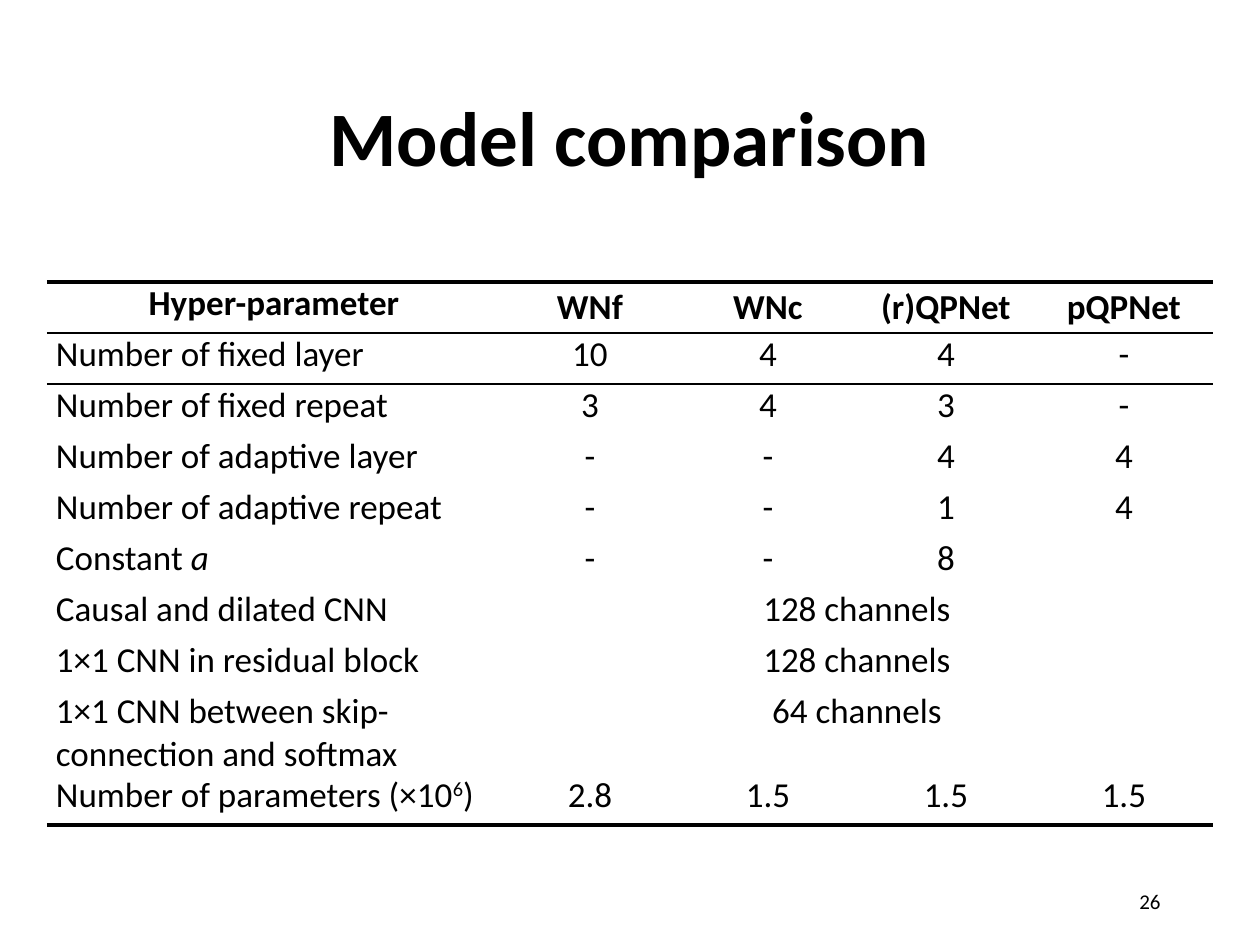
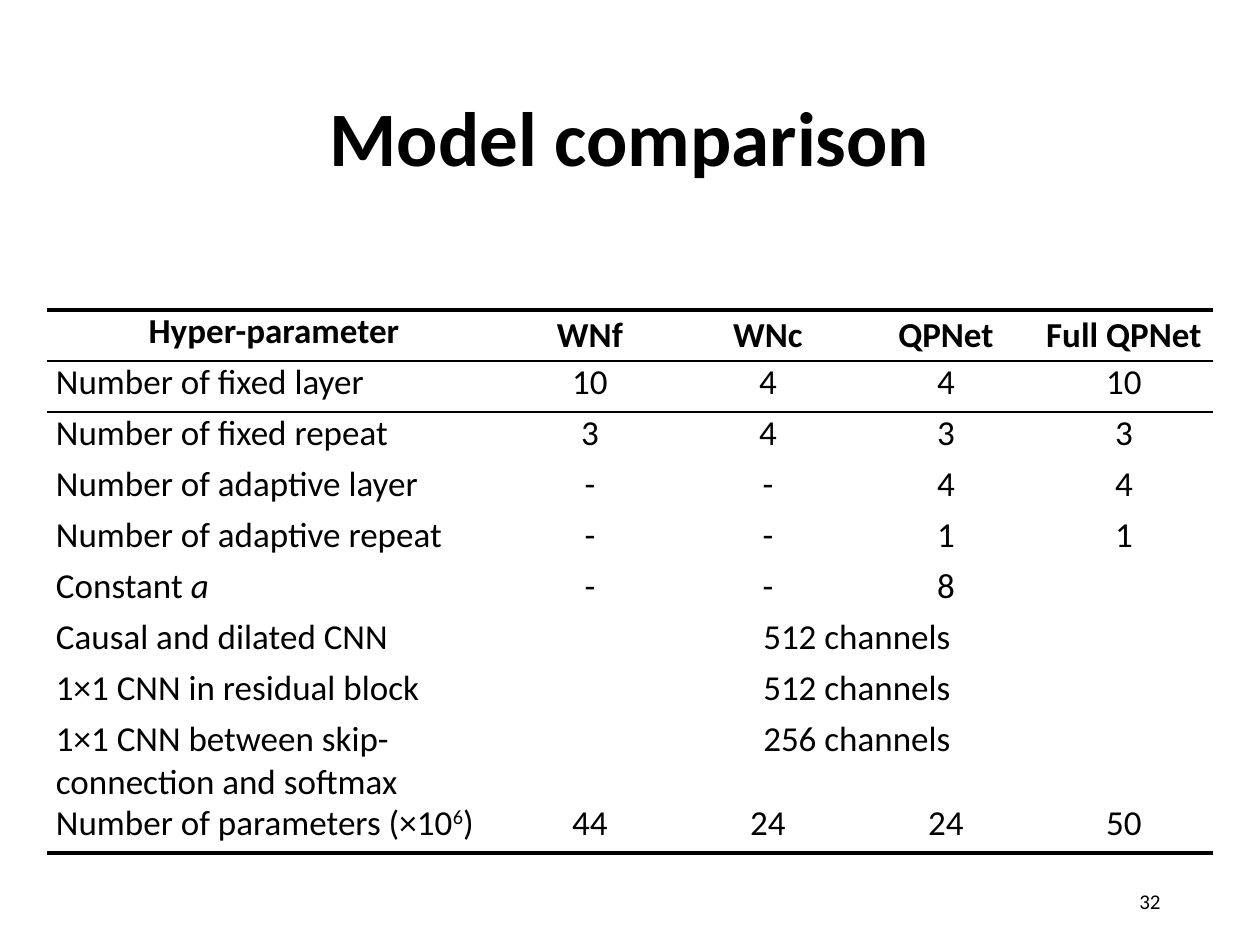
from lxml import etree
from pptx import Presentation
from pptx.dml.color import RGBColor
from pptx.enum.text import MSO_ANCHOR, PP_ALIGN
from pptx.oxml.ns import qn
from pptx.util import Emu, Pt

LEFT, CENTER, RIGHT = PP_ALIGN.LEFT, PP_ALIGN.CENTER, PP_ALIGN.RIGHT
TOP, MIDDLE = MSO_ANCHOR.TOP, MSO_ANCHOR.MIDDLE

BLACK = RGBColor(0x00, 0x00, 0x00)
FONT = "Calibri"
PX_PER_INCH = 126
NO_GRID_STYLE = "{2D5ABB26-0587-4C30-8999-92F81FD0307C}"

# Boxes are left, top, width, height in px
PAGE_SIZE = (1260, 945)
TITLE_BOX = (87, 50, 1086, 183)
NUMBER_BOX = (890, 876, 283, 50)
TABLE_LEFT = 47
LABEL_WIDTH, VALUE_WIDTH, ROW_HEIGHT = 454, 178, 51
CELL_MARGIN = 9
THICK, THIN = 3, 1

# Row labels, each a list of (text, style) spans
ROW_LABELS = [
    [("Hyper-parameter", "bold")],
    [("Number of fixed layer", "")],
    [("Number of fixed repeat", "")],
    [("Number of adaptive layer", "")],
    [("Number of adaptive repeat", "")],
    [("Constant ", ""), ("a", "italic")],
    [("Causal and dilated CNN", "")],
    [("1×1 CNN in residual block", "")],
    [("1×1 CNN between skip-connection and softmax", "")],
    [("Number of parameters (×10", ""), ("6", "superscript"), (")", "")],
]

# A row with one value spans all model columns
COMPARISONS = [
    (26, 282, [
        ["WNf", "WNc", "(r)QPNet", "pQPNet"],
        ["10", "4", "4", "-"],
        ["3", "4", "3", "-"],
        ["-", "-", "4", "4"],
        ["-", "-", "1", "4"],
        ["-", "-", "8", ""],
        ["128 channels"],
        ["128 channels"],
        ["64 channels"],
        ["2.8", "1.5", "1.5", "1.5"],
    ]),
    (32, 310, [
        ["WNf", "WNc", "QPNet", "Full QPNet"],
        ["10", "4", "4", "10"],
        ["3", "4", "3", "3"],
        ["-", "-", "4", "4"],
        ["-", "-", "1", "1"],
        ["-", "-", "8", ""],
        ["512 channels"],
        ["512 channels"],
        ["256 channels"],
        ["44", "24", "24", "50"],
    ]),
]


def px(length):
    return Emu(round(length * 914400 / PX_PER_INCH))


def write(frame, spans, size, align):
    para = frame.paragraphs[0]
    para.alignment = align
    para.font.size = Pt(size)
    for text, style in spans:
        span = para.add_run()
        span.text = text
        span.font.name = FONT
        span.font.size = Pt(size)
        span.font.color.rgb = BLACK
        span.font.bold = style == "bold"
        span.font.italic = style == "italic"
        if style == "superscript":
            span.font._element.set("baseline", "30000")
    return para


def add_text(page, box, spans, size, align):
    frame = page.shapes.add_textbox(*map(px, box)).text_frame
    frame.word_wrap = True
    frame.vertical_anchor = MIDDLE
    return write(frame, spans, size, align)


def add_title(page, box, text):
    add_text(page, box, [(text, "bold")], 44, CENTER).line_spacing = 0.9


def add_page_number(page, box, number):
    add_text(page, box, [(str(number), "")], 12, RIGHT)


def rule_cell(cell, rules):
    """Draw rules given as (edge tag, points), top edge before bottom edge."""
    properties = cell._tc.get_or_add_tcPr()
    for position, (edge, points) in enumerate(rules):
        line = etree.Element(qn(edge), w=str(Pt(points)))
        fill = etree.SubElement(line, qn("a:solidFill"))
        etree.SubElement(fill, qn("a:srgbClr"), val=str(BLACK))
        properties.insert(position, line)


def row_rules(row, last_row):
    if row == 0:
        return [("a:lnT", THICK), ("a:lnB", THIN)]
    if row == 1:
        return [("a:lnT", THIN)]
    return [("a:lnB", THICK)] if row == last_row else []


def add_comparison_table(page, left, top, values):
    row_count, column_count = len(values), len(values[0]) + 1
    width = LABEL_WIDTH + VALUE_WIDTH * (column_count - 1)
    box = (left, top, width, ROW_HEIGHT * row_count)
    table = page.shapes.add_table(row_count, column_count, *map(px, box)).table
    table.first_row = table.horz_banding = False
    table._tbl.tblPr.find(qn("a:tableStyleId")).text = NO_GRID_STYLE
    for index, column in enumerate(table.columns):
        column.width = px(VALUE_WIDTH if index else LABEL_WIDTH)

    for row, (label, row_values) in enumerate(zip(ROW_LABELS, values)):
        table.rows[row].height = px(ROW_HEIGHT)
        # Cell frame and rules
        for column in range(column_count):
            cell = table.cell(row, column)
            cell.margin_left = cell.margin_right = px(CELL_MARGIN)
            cell.margin_top = cell.margin_bottom = 0
            cell.vertical_anchor = MIDDLE if row == 0 and column else TOP
            cell.fill.background()
            rule_cell(cell, row_rules(row, row_count - 1))
        if len(row_values) == 1:
            table.cell(row, 1).merge(table.cell(row, column_count - 1))

        # Label and values
        write(table.cell(row, 0).text_frame, label, 20, LEFT if row else CENTER)
        for column, value in enumerate(row_values, start=1):
            if value:
                spans = [(value, "" if row else "bold")]
                write(table.cell(row, column).text_frame, spans, 20, CENTER)


def add_comparison_slide(deck, number, table_top, values):
    page = deck.slides.add_slide(deck.slide_layouts[6])
    add_title(page, TITLE_BOX, "Model comparison")
    add_page_number(page, NUMBER_BOX, number)
    add_comparison_table(page, TABLE_LEFT, table_top, values)


def main():
    deck = Presentation()
    deck.slide_width, deck.slide_height = map(px, PAGE_SIZE)
    for number, table_top, values in COMPARISONS:
        add_comparison_slide(deck, number, table_top, values)
    deck.save("out.pptx")


if __name__ == "__main__":
    main()
